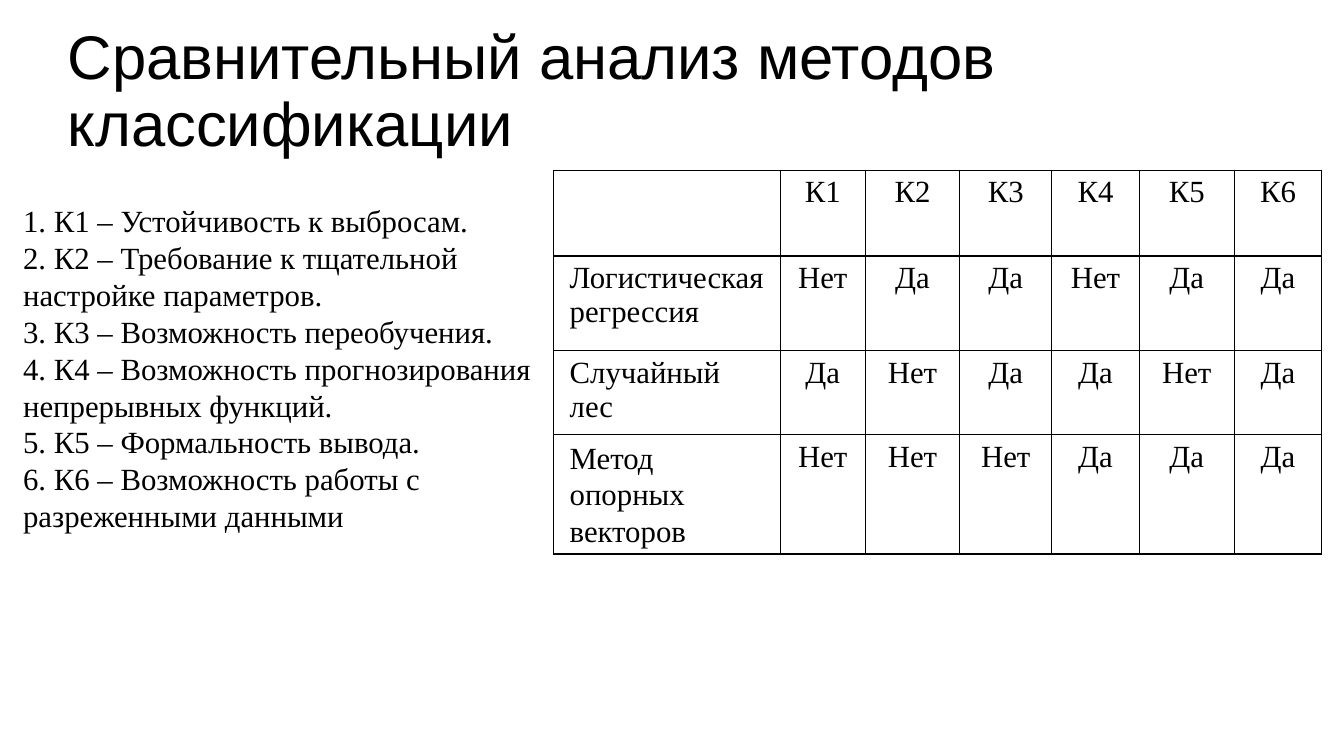
from dataclasses import dataclass

from lxml import etree
from pptx import Presentation
from pptx import util as u
from pptx.dml.color import RGBColor
from pptx.enum import text
from pptx.oxml import ns

BLACK = RGBColor(0x00, 0x00, 0x00)
WHITE = RGBColor(0xFF, 0xFF, 0xFF)
HEADING_FONT = "Arial"
BODY_FONT = "Times New Roman"
BODY_SIZE = 22
BORDER_WIDTH = u.Pt(0.96)
SLIDE_WIDTH = u.Inches(13.33)
SLIDE_HEIGHT = u.Inches(7.5)


@dataclass(frozen=True)
class Area:
    """A place on the slide, in percent of its width and height."""
    left: float
    top: float
    width: float
    height: float

    def box(self) -> tuple[int, int, int, int]:
        return (across(self.left), down(self.top),
                across(self.width), down(self.height))


@dataclass(frozen=True)
class Method:
    name: str
    answers: tuple[str, ...]
    line_spacing: u.Pt | None = None


def across(percent: float) -> int:
    return round(SLIDE_WIDTH * percent / 100)


def down(percent: float) -> int:
    return round(SLIDE_HEIGHT * percent / 100)


TITLE = "Сравнительный анализ методов классификации"
TITLE_AREA = Area(5.03, 3.2, 90.02, 18.27)
CRITERIA_AREA = Area(0.98, 26, 40.59, 45.33)
CRITERIA = (
    "Устойчивость к выбросам.",
    "Требование к тщательной настройке параметров.",
    "Возможность переобучения.",
    "Возможность прогнозирования непрерывных функций.",
    "Формальность вывода.",
    "Возможность работы с разреженными данными",
)
METHODS = (
    Method("", tuple(f"К{number}" for number in range(1, len(CRITERIA) + 1))),
    Method("Логистическая регрессия", ("Нет", "Да", "Да", "Нет", "Да", "Да")),
    Method("Случайный лес", ("Да", "Нет", "Да", "Да", "Нет", "Да")),
    Method("Метод опорных векторов", ("Нет", "Нет", "Нет", "Да", "Да", "Да"),
           u.Pt(26)),
)
COLUMN_SHARES = (16.88, 6.3, 7.05, 6.83, 6.53, 7.05, 6.53)
ROW_SHARES = (11.33, 12.53, 10.4, 15.73)
TABLE_AREA = Area(41.19, 22.53, sum(COLUMN_SHARES), sum(ROW_SHARES))


def format_runs(paragraph, font_name: str, size: float) -> None:
    for run in paragraph.runs:
        run.font.name = font_name
        run.font.size = u.Pt(size)
        run.font.color.rgb = BLACK


def add_text(slide, area: Area, content: str, font_name: str, size: float):
    text_frame = slide.shapes.add_textbox(*area.box()).text_frame
    text_frame.word_wrap = True
    paragraph = text_frame.paragraphs[0]
    paragraph.text = content
    format_runs(paragraph, font_name, size)
    return text_frame


def add_borders(cell) -> None:
    properties = cell._tc.get_or_add_tcPr()
    for side in ("lnL", "lnR", "lnT", "lnB"):
        line = etree.SubElement(properties, ns.qn(f"a:{side}"),
                                w=str(int(BORDER_WIDTH)))
        fill = etree.SubElement(line, ns.qn("a:solidFill"))
        etree.SubElement(fill, ns.qn("a:srgbClr"), val=str(BLACK))


def fill_cell(cell, content: str, is_name: bool, line_spacing) -> None:
    add_borders(cell)
    cell.fill.solid()
    cell.fill.fore_color.rgb = WHITE
    paragraph = cell.text_frame.paragraphs[0]
    paragraph.text = content
    format_runs(paragraph, BODY_FONT, BODY_SIZE)
    if is_name:
        cell.margin_left = u.Inches(0.16)
        paragraph.line_spacing = line_spacing
    else:
        paragraph.alignment = text.PP_ALIGN.CENTER


def add_comparison(slide) -> None:
    table = slide.shapes.add_table(
        len(METHODS), len(COLUMN_SHARES), *TABLE_AREA.box()).table
    table.first_row = False
    table.horz_banding = False
    for column, share in zip(table.columns, COLUMN_SHARES):
        column.width = across(share)
    for row, share, method in zip(table.rows, ROW_SHARES, METHODS):
        row.height = down(share)
        for index, content in enumerate((method.name, *method.answers)):
            fill_cell(row.cells[index], content, index == 0,
                      method.line_spacing)


def main() -> None:
    presentation = Presentation()
    presentation.slide_width = SLIDE_WIDTH
    presentation.slide_height = SLIDE_HEIGHT
    slide = presentation.slides.add_slide(presentation.slide_layouts[6])

    # Title
    title = add_text(slide, TITLE_AREA, TITLE, HEADING_FONT, 44)
    title.vertical_anchor = text.MSO_ANCHOR.MIDDLE
    title.margin_left = title.margin_right = 0
    title.margin_top = title.margin_bottom = 0
    title.paragraphs[0].line_spacing = 0.9

    # Comparison table
    add_comparison(slide)

    # Criteria, one to a line
    lines = (f"{number}. К{number} – {meaning}"
             for number, meaning in enumerate(CRITERIA, 1))
    criteria = add_text(slide, CRITERIA_AREA, "\n".join(lines),
                        BODY_FONT, BODY_SIZE)
    criteria.auto_size = text.MSO_AUTO_SIZE.SHAPE_TO_FIT_TEXT

    presentation.save("out.pptx")


if __name__ == "__main__":
    main()
